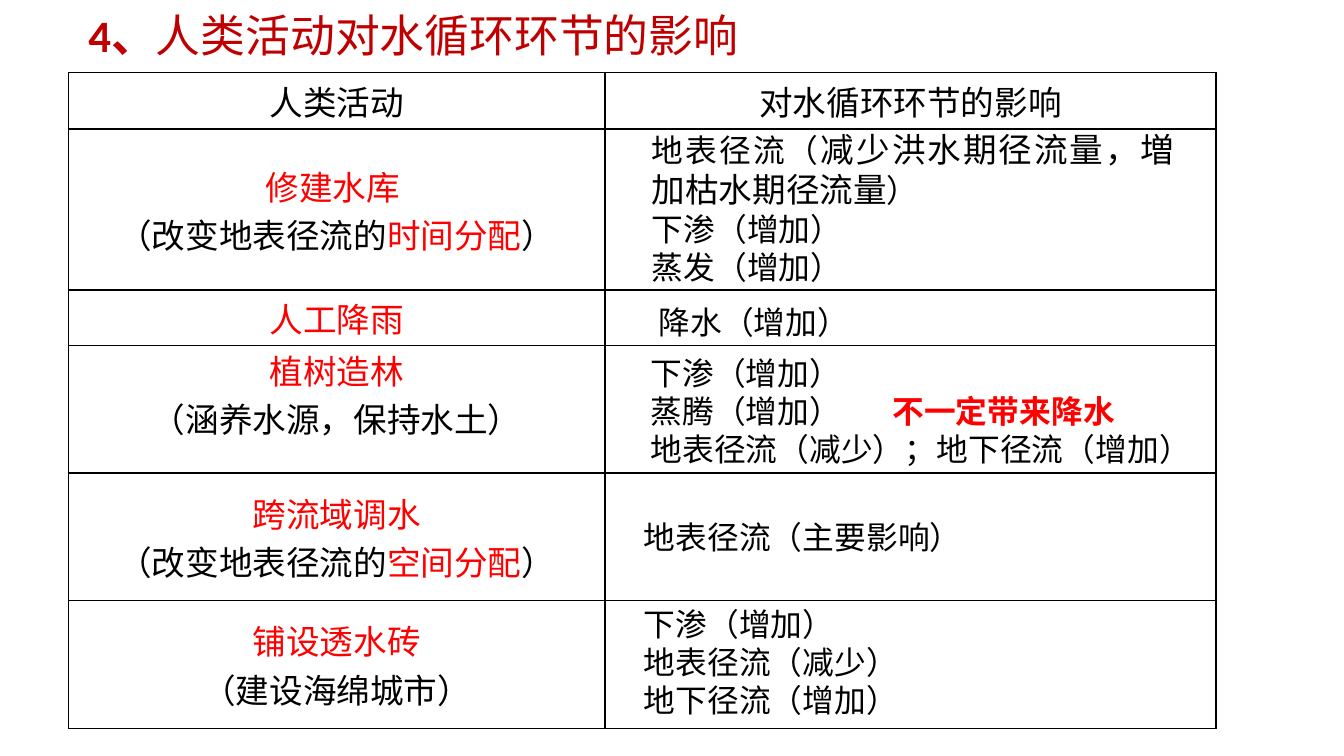
import lxml.etree
import pptx
import pptx.dml.color
import pptx.enum.text
import pptx.oxml.ns
import pptx.util

Inches = pptx.util.Inches
ALIGN = pptx.enum.text.PP_ALIGN
ANCHOR = pptx.enum.text.MSO_ANCHOR
COLORS = {"black": "000000", "red": "FF0000", "title": "C00000"}


def child(parent, tag, **attributes):
    return lxml.etree.SubElement(parent, pptx.oxml.ns.qn(tag), attributes)


def add_run(paragraph, text, size=17, color="black", bold=False, font="Calibri"):
    run = paragraph.add_run()
    run.text = text
    run.font.size = pptx.util.Pt(size)
    run.font.bold = bold
    run.font.color.rgb = pptx.dml.color.RGBColor.from_string(COLORS[color])
    run.font.name = font
    child(run.font._element, "a:ea", typeface="Noto Sans CJK SC")


class SlideBuilder:
    cell_size = 18

    def __init__(self, slide):
        self.slide = slide

    def fill_text(self, frame, lines, align, tab=None, **style):
        for index, line in enumerate(lines):
            paragraph = frame.add_paragraph() if index else frame.paragraphs[0]
            if tab and any("\t" in text for text, _ in line):
                tabs = child(paragraph._p.get_or_add_pPr(), "a:tabLst")
                child(tabs, "a:tab", pos=str(Inches(tab)), algn="l")
            paragraph.alignment = align
            for text, changes in line:
                add_run(paragraph, text, **{**style, **changes})

    def text_box(self, left, top, width, height, lines,
                 align=ALIGN.JUSTIFY, wrap=True, tab=None):
        box = self.slide.shapes.add_textbox(
            Inches(left), Inches(top), Inches(width), Inches(height))
        frame = box.text_frame
        frame.word_wrap = wrap
        frame.auto_size = pptx.enum.text.MSO_AUTO_SIZE.SHAPE_TO_FIT_TEXT
        frame.margin_left = frame.margin_right = Inches(0.07)
        frame.margin_top = frame.margin_bottom = Inches(0.04)
        self.fill_text(frame, lines, align, tab)

    def border(self, cell):
        properties = cell._tc.get_or_add_tcPr()
        for side in ("a:lnL", "a:lnR", "a:lnT", "a:lnB"):
            line = child(properties, side, w=str(pptx.util.Pt(1)))
            child(child(line, "a:solidFill"), "a:srgbClr", val=COLORS["black"])

    def table(self, left, top, widths, heights, rows):
        table = self.slide.shapes.add_table(
            len(heights), len(widths), Inches(left), Inches(top),
            Inches(sum(widths)), Inches(sum(heights))).table
        table.first_row = table.horz_banding = False
        for column, width in zip(table.columns, widths):
            column.width = Inches(width)
        for row, height, (anchor, contents) in zip(table.rows, heights, rows):
            row.height = Inches(height)
            for cell, lines in zip(row.cells, contents):
                cell.margin_left = cell.margin_right = Inches(0.06)
                cell.margin_top = cell.margin_bottom = 0
                cell.vertical_anchor = anchor
                self.border(cell)
                cell.fill.background()
                self.fill_text(cell.text_frame, lines, ALIGN.CENTER, size=self.cell_size)


def plain(*texts):
    return [[(text, {})] for text in texts]


def activity(name, *note, anchor=ANCHOR.MIDDLE):
    lines = [[(name, {"color": "red"})]]
    if note:
        lines.append([(text, {"color": "red" if index == 1 else "black"})
                      for index, text in enumerate(note)])
    return anchor, [lines, []]


def main():
    presentation = pptx.Presentation()
    presentation.slide_width = Inches(10)
    presentation.slide_height = Inches(10 * 9 / 16)
    builder = SlideBuilder(presentation.slides.add_slide(presentation.slide_layouts[6]))

    heading = {"size": 24, "color": "title"}
    builder.text_box(0.12, 0.02, 5.91, 0.48, [[
        ("4、", {**heading, "bold": True}),
        ("人类活动对水循环环节的影响", {**heading, "font": "Noto Sans CJK SC"}),
    ]], align=ALIGN.CENTER)

    builder.table(0.51, 0.54, [3.99, 4.55], [0.42, 1.2, 0.41, 0.95, 0.95, 0.95], [
        (ANCHOR.MIDDLE, [plain("人类活动"), plain("对水循环环节的影响")]),
        activity("修建水库 ", "（改变地表径流的", "时间分配", "）"),
        activity("人工降雨"),
        activity("植树造林", "（涵养水源，保持水土）", anchor=ANCHOR.TOP),
        activity("跨流域调水", "（改变地表径流的", "空间分配", "）"),
        activity("铺设透水砖", "（建设海绵城市）"),
    ])

    reservoir = [[
        ("地表径流（", {}),
        ("减少洪水期径流量，増加枯水期径流量", {"size": 18, "font": "Noto Sans CJK SC"}),
        ("）", {}),
    ]] + plain("下渗（增加）", "蒸发（增加）")
    builder.text_box(4.78, 0.92, 4.03, 1.25, reservoir)

    builder.text_box(4.82, 2.21, 1.58, 0.36, plain("降水（增加）"),
                     align=ALIGN.CENTER, wrap=False)

    forest = plain("下渗（增加）", "蒸腾（增加）\t", "地表径流（减少）；地下径流（增加）")
    forest[1].append(("不一定带来降水", {"color": "red", "bold": True}))
    builder.text_box(4.77, 2.59, 4.45, 0.93, forest, tab=1.8)

    builder.text_box(4.72, 3.81, 3.72, 0.36, plain("地表径流（主要影响）"))
    builder.text_box(4.72, 4.46, 3.72, 0.93,
                     plain("下渗（增加）", "地表径流（减少）", "地下径流（增加）"))

    presentation.save("out.pptx")


if __name__ == "__main__":
    main()
